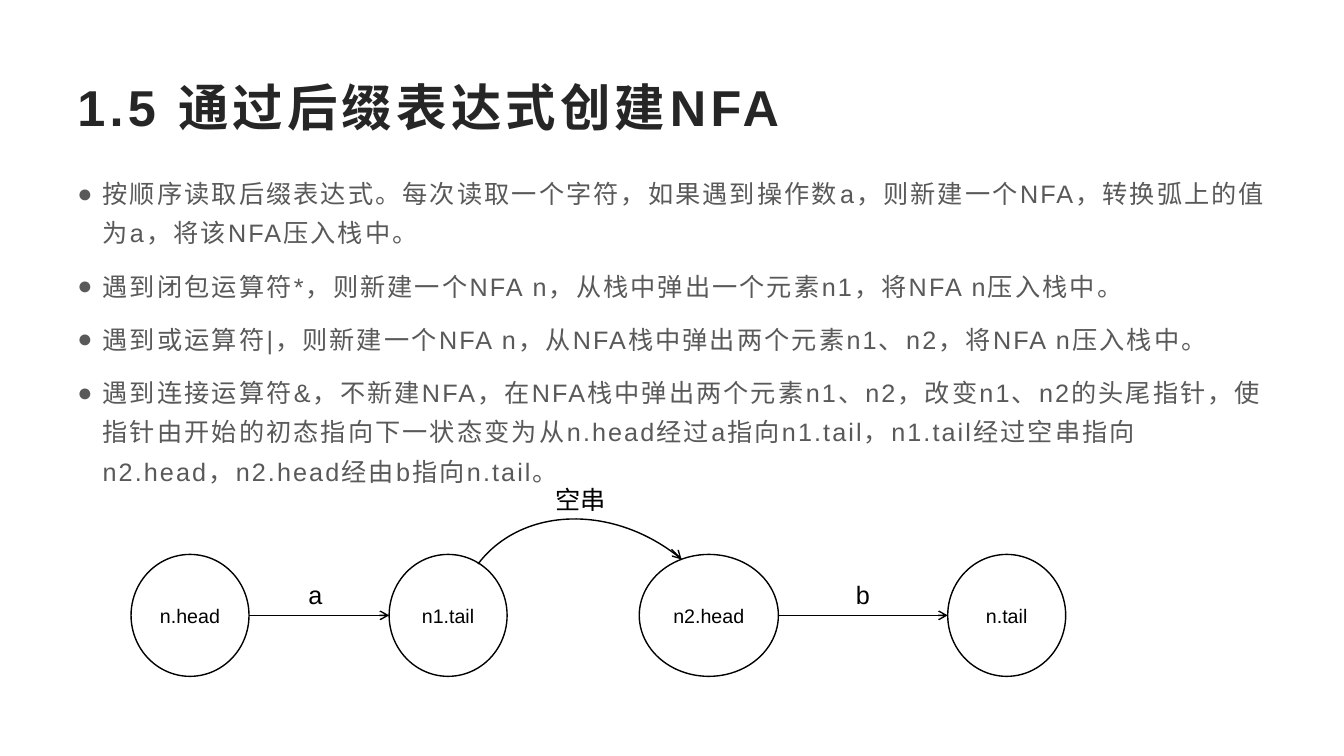
from lxml import etree
from pptx import Presentation
from pptx.dml.color import RGBColor
from pptx.enum import shapes, text
from pptx.oxml import ns
from pptx.util import Inches, Pt

BLACK = RGBColor(0x00, 0x00, 0x00)
WHITE = RGBColor(0xFF, 0xFF, 0xFF)
TITLE_COLOR = RGBColor(0x26, 0x26, 0x26)
BODY_COLOR = RGBColor(0x59, 0x59, 0x59)
FONT = "Arial"

TITLE = "1.5 通过后缀表达式创建NFA"
RULES = [
    "按顺序读取后缀表达式。每次读取一个字符，如果遇到操作数a，则新建一个NFA，转换弧上的值为a，将该NFA压入栈中。",
    "遇到闭包运算符*，则新建一个NFA n，从栈中弹出一个元素n1，将NFA n压入栈中。",
    "遇到或运算符|，则新建一个NFA n，从NFA栈中弹出两个元素n1、n2，将NFA n压入栈中。",
    "遇到连接运算符&，不新建NFA，在NFA栈中弹出两个元素n1、n2，改变n1、n2的头尾指针，"
    "使指针由开始的初态指向下一状态变为从n.head经过a指向n1.tail，"
    "n1.tail经过空串指向n2.head，n2.head经由b指向n.tail。",
]
# Offsets from the diagram's left edge, and widths
STATES = [("n.head", 0, 1.17), ("n1.tail", 2.56, 1.17),
          ("n2.head", 5.04, 1.38), ("n.tail", 8.1, 1.17)]
STATE_HEIGHT = 1.21


def style_runs(paragraph, size, color, bold=False, spacing=0):
    for run in paragraph.runs:
        run.font.name = FONT
        run.font.size = Pt(size)
        run.font.bold = bold
        run.font.color.rgb = color
        properties = run._r.get_or_add_rPr()
        properties.set("spc", str(int(spacing * 100)))
        east_asian = etree.SubElement(properties, ns.qn("a:ea"))
        east_asian.set("typeface", FONT)


def add_text_box(slide, left, top, width, height, wrap=True):
    box = slide.shapes.add_textbox(
        Inches(left), Inches(top), Inches(width), Inches(height))
    box.text_frame.word_wrap = wrap
    return box.text_frame


def add_title(slide, left, top, width, height):
    frame = add_text_box(slide, left, top, width, height)
    frame.vertical_anchor = text.MSO_ANCHOR.MIDDLE
    frame.text = TITLE
    style_runs(frame.paragraphs[0], 36, TITLE_COLOR, bold=True, spacing=3)


def add_rules(slide, left, top, width, height):
    frame = add_text_box(slide, left, top, width, height)
    frame.text = "\n".join(RULES)
    for paragraph in frame.paragraphs:
        paragraph.line_spacing = 1.3
        paragraph.space_after = Pt(10)
        properties = paragraph._p.get_or_add_pPr()
        properties.set("marL", str(Inches(0.25)))
        properties.set("indent", str(-Inches(0.25)))
        etree.SubElement(properties, ns.qn("a:buFont")).set("typeface", FONT)
        etree.SubElement(properties, ns.qn("a:buChar")).set("char", "●")
        style_runs(paragraph, 18, BODY_COLOR, spacing=1.5)


def add_state(slide, name, left, top, width, height):
    state = slide.shapes.add_shape(
        shapes.MSO_SHAPE.OVAL,
        Inches(left), Inches(top), Inches(width), Inches(height))
    state.shadow.inherit = False
    state.fill.solid()
    state.fill.fore_color.rgb = WHITE
    state.line.color.rgb = BLACK
    state.line.width = Pt(1)
    frame = state.text_frame
    frame.text = name
    frame.word_wrap = False
    frame.vertical_anchor = text.MSO_ANCHOR.MIDDLE
    frame.paragraphs[0].alignment = text.PP_ALIGN.CENTER
    style_runs(frame.paragraphs[0], 14, BLACK)


def add_arrow(slide, start_x, start_y, end_x, end_y):
    arrow = slide.shapes.add_connector(
        shapes.MSO_CONNECTOR.STRAIGHT,
        Inches(start_x), Inches(start_y), Inches(end_x), Inches(end_y))
    arrow.line.color.rgb = BLACK
    arrow.line.width = Pt(1)
    tail = etree.SubElement(arrow.line._get_or_add_ln(), ns.qn("a:tailEnd"))
    tail.set("type", "arrow")
    etree.SubElement(arrow._element.spPr, ns.qn("a:effectLst"))


def add_empty_string_arc(slide, left, top, width, height):
    arc = slide.shapes.add_shape(
        shapes.MSO_SHAPE.ARC,
        Inches(left), Inches(top), Inches(width), Inches(height))
    arc.shadow.inherit = False
    arc.adjustments[0] = 162
    arc.adjustments[1] = 2.334
    arc.rotation = 307
    arc.fill.background()
    arc.line.color.rgb = BLACK
    arc.line.width = Pt(1)


def add_label(slide, label, left, top, width):
    frame = add_text_box(slide, left, top, width, 0.4, wrap=False)
    frame.text = label
    style_runs(frame.paragraphs[0], 18, BLACK)


def add_diagram(slide, left, top):
    for name, offset, width in STATES:
        add_state(slide, name, left + offset, top, width, STATE_HEIGHT)

    middle = top + STATE_HEIGHT / 2
    for source, target in [(0, 1), (2, 3)]:
        _, offset, width = STATES[source]
        add_arrow(slide, left + offset + width, middle,
                  left + STATES[target][1], middle)

    add_empty_string_arc(slide, left + 3.38, top - 0.5, 2.51, 2.99)
    add_arrow(slide, left + 5.36, top - 0.05, left + 5.46, top + 0.05)

    add_label(slide, "a", left + 1.66, top + 0.2, 0.41)
    add_label(slide, "空串", left + 4.11, top - 0.74, 0.93)
    add_label(slide, "b", left + 7.09, top + 0.2, 0.35)


def main():
    presentation = Presentation()
    presentation.slide_width = Inches(13.33)
    presentation.slide_height = Inches(7.5)
    slide = presentation.slides.add_slide(presentation.slide_layouts[6])
    add_title(slide, 0.67, 0.67, 12, 0.77)
    add_rules(slide, 0.67, 1.63, 12, 5.2)
    add_diagram(slide, 1.3, 5.5)
    presentation.save("out.pptx")


if __name__ == "__main__":
    main()
